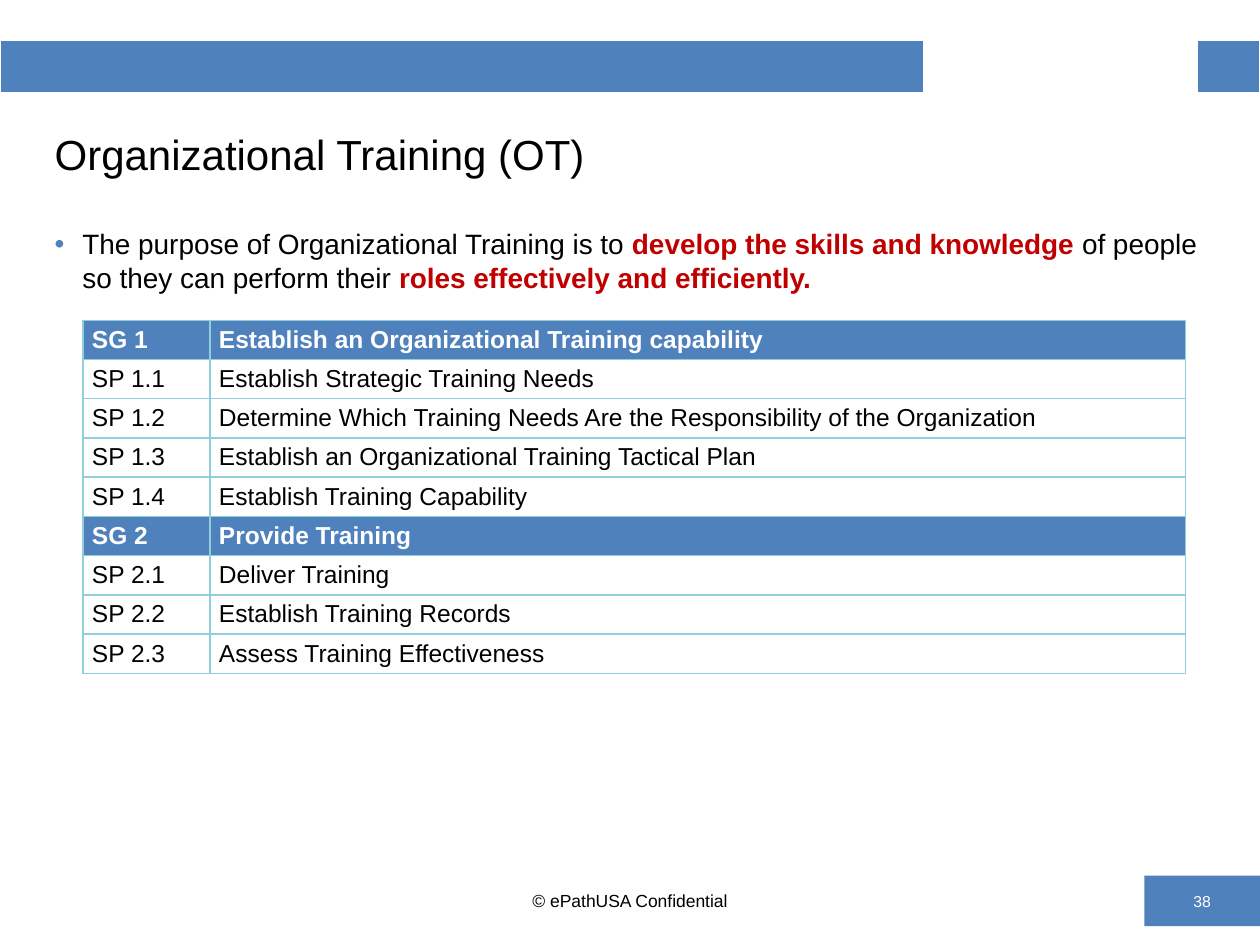
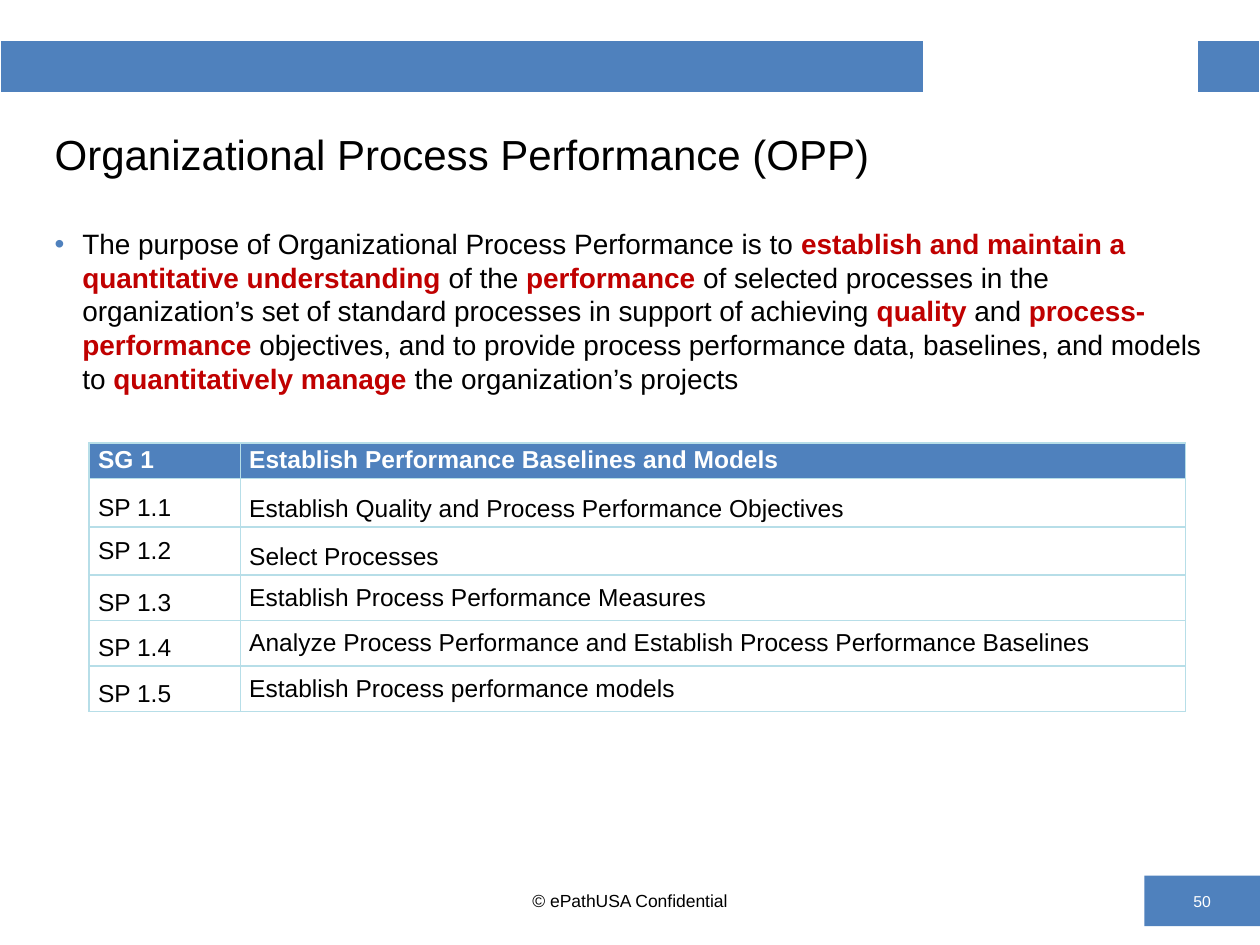
from collections import namedtuple

from lxml.etree import SubElement
from pptx import Presentation
from pptx.dml.color import RGBColor
from pptx.enum.shapes import MSO_SHAPE
from pptx.enum.text import MSO_ANCHOR, MSO_AUTO_SIZE, PP_ALIGN
from pptx.oxml import parse_xml
from pptx.oxml.ns import nsdecls, qn
from pptx.util import Inches, Pt

FONT = "Arial"
BLUE, RED, WHITE, BLACK = "4F81BD", "C00000", "FFFFFF", "000000"

# The slide is a grid of 120 columns by 90 rows
COLUMNS, ROWS = 120, 90
SLIDE_WIDTH, SLIDE_HEIGHT = Inches(10), Inches(7.5)

Box = namedtuple("Box", "left top width height")
BAND_BOX = Box(0, 3.84, 120, 5.16)
TITLE_BOX = Box(4, 10.2, 112, 8.8)
BODY_BOX = Box(4, 21, 112, 61)
FOOTER_BOX = Box(41, 83.4, 38, 4.8)
NUMBER_BOX = Box(109, 83.4, 11, 4.8)


def across(columns):
    return int(SLIDE_WIDTH * columns / COLUMNS)


def down(rows):
    return int(SLIDE_HEIGHT * rows / ROWS)


def area(box):
    return across(box.left), down(box.top), across(box.width), down(box.height)


def color(value):
    return RGBColor.from_string(value)


def add_span(para, text, size, tint=BLACK, bold=False):
    span = para.add_run()
    span.text = text
    span.font.name = FONT
    span.font.size = Pt(size)
    span.font.bold = bold
    span.font.color.rgb = color(tint)


def place(shape, box):
    shape.left, shape.top, shape.width, shape.height = area(box)


def frame_text(shape, anchor):
    frame = shape.text_frame
    frame.word_wrap = True
    frame.auto_size = MSO_AUTO_SIZE.NONE
    frame.vertical_anchor = anchor
    return frame.paragraphs[0]


def paint(fill, tint):
    if tint:
        fill.solid()
        fill.fore_color.rgb = color(tint)
    else:
        fill.background()


def set_borders(cell, tint, bottom=1):
    properties = cell._tc.get_or_add_tcPr()
    widths = {"lnL": 1, "lnR": 1, "lnT": 1, "lnB": bottom}
    for position, (side, width) in enumerate(widths.items()):
        properties.insert(position, parse_xml(
            f'<a:{side} {nsdecls("a")} w="{Pt(width)}"><a:solidFill>'
            f'<a:srgbClr val="{tint}"/></a:solidFill></a:{side}>'))


def add_grid(page, box, widths, heights):
    table = page.shapes.add_table(len(heights), len(widths), *area(box)).table
    table.first_row = table.horz_banding = False
    for column, width in zip(table.columns, widths):
        column.width = across(width)
    for row, height in zip(table.rows, heights):
        row.height = down(height)
    return table


# Top band: two blue cells with a gap between them
def add_band(page, box):
    table = add_grid(page, box, (88, 26, 6), (box.height,))
    for cell, tint in zip(table.iter_cells(), (BLUE, None, BLUE)):
        paint(cell.fill, tint)
        set_borders(cell, WHITE, bottom=3)


def add_title(page, box, text):
    place(page.shapes.title, box)
    para = frame_text(page.shapes.title, MSO_ANCHOR.MIDDLE)
    para.alignment = PP_ALIGN.LEFT
    add_span(para, text, 24)


# Purpose statement: every second span is emphasised
def add_purpose(page, box, spans):
    body = page.placeholders[1]
    place(body, box)
    para = frame_text(body, MSO_ANCHOR.TOP)
    properties = para._p.get_or_add_pPr()
    indent = Inches(0.22)
    properties.set("marL", str(indent))
    properties.set("indent", str(-indent))
    SubElement(SubElement(properties, qn("a:buClr")), qn("a:srgbClr"), val=BLUE)
    SubElement(properties, qn("a:buFont"), typeface=FONT)
    SubElement(properties, qn("a:buChar"), char="•")
    para.space_before = Pt(0)
    for index, text in enumerate(spans):
        strong = index % 2 == 1
        add_span(para, text, 16, RED if strong else BLACK, strong)


# Goals (SG) are blue header rows, practices (SP) are plain rows
def add_goals(page, box, widths, heights, rows, spacings, border, anchor):
    table = add_grid(page, box, widths, heights)
    for row, texts, spacing in zip(table.rows, rows, spacings):
        is_goal = texts[0].startswith("SG")
        for cell, text, line_spacing in zip(row.cells, texts, spacing):
            cell.margin_left = cell.margin_right = Inches(0.07)
            cell.margin_top = cell.margin_bottom = Inches(0.03)
            cell.vertical_anchor = anchor
            paint(cell.fill, BLUE if is_goal else None)
            set_borders(cell, border)
            para = cell.text_frame.paragraphs[0]
            para.line_spacing = line_spacing
            add_span(para, text, 14, WHITE if is_goal else BLACK, is_goal)


def add_footer(page, box):
    note = page.shapes.add_textbox(*area(box))
    para = frame_text(note, MSO_ANCHOR.MIDDLE)
    para.alignment = PP_ALIGN.CENTER
    add_span(para, "© ePathUSA Confidential", 10)


def add_page_number(page, box, number):
    tab = page.shapes.add_shape(MSO_SHAPE.RECTANGLE, *area(box))
    tab.shadow.inherit = False
    paint(tab.fill, BLUE)
    tab.line.fill.background()
    para = frame_text(tab, MSO_ANCHOR.MIDDLE)
    para.alignment = PP_ALIGN.CENTER
    add_span(para, str(number), 9, WHITE)


def add_process_page(deck, number, title, purpose, goals):
    page = deck.slides.add_slide(deck.slide_layouts[1])
    add_band(page, BAND_BOX)
    add_page_number(page, NUMBER_BOX, number)
    add_title(page, TITLE_BOX, title)
    add_purpose(page, BODY_BOX, purpose)
    add_goals(page, **goals)
    add_footer(page, FOOTER_BOX)


TRAINING_ROWS = [
    ("SG 1", "Establish an Organizational Training capability"),
    ("SP 1.1", "Establish Strategic Training Needs"),
    ("SP 1.2", "Determine Which Training Needs Are the Responsibility of the Organization"),
    ("SP 1.3", "Establish an Organizational Training Tactical Plan"),
    ("SP 1.4", "Establish Training Capability"),
    ("SG 2", "Provide Training"),
    ("SP 2.1", "Deliver Training"),
    ("SP 2.2", "Establish Training Records"),
    ("SP 2.3", "Assess Training Effectiveness"),
]
TRAINING_PURPOSE = [
    "The purpose of Organizational Training is to ",
    "develop the skills and knowledge ",
    "of people so they can perform their ",
    "roles effectively and efficiently.",
]
PERFORMANCE_ROWS = [
    ("SG 1", "Establish Performance Baselines and Models"),
    ("SP 1.1", "Establish Quality and Process Performance Objectives"),
    ("SP 1.2", "Select Processes"),
    ("SP 1.3", "Establish Process Performance Measures"),
    ("SP 1.4", "Analyze Process Performance and Establish Process Performance Baselines"),
    ("SP 1.5", "Establish Process performance models"),
]
PERFORMANCE_PURPOSE = [
    "The purpose of Organizational Process Performance is to ",
    "establish and maintain a quantitative understanding ",
    "of the ",
    "performance",
    " of selected processes in the organization’s set of standard processes "
    "in support of achieving ",
    "quality",
    " and ",
    "process-performance ",
    "objectives, and to provide process performance data, baselines, and models to ",
    "quantitatively manage ",
    "the organization’s projects",
]


def main():
    deck = Presentation()
    deck.slide_width, deck.slide_height = SLIDE_WIDTH, SLIDE_HEIGHT
    add_process_page(
        deck, 38, "Organizational Training (OT)", TRAINING_PURPOSE,
        dict(box=Box(7.92, 30.5, 105, 33.7), widths=(12.1, 92.9),
             heights=[3.74] * len(TRAINING_ROWS), rows=TRAINING_ROWS,
             spacings=[(1.07, 1.07)] * len(TRAINING_ROWS),
             border="92CDDC", anchor=MSO_ANCHOR.TOP))
    add_process_page(
        deck, 50, "Organizational Process Performance (OPP)", PERFORMANCE_PURPOSE,
        dict(box=Box(8.5, 42.2, 104.4, 25.6), widths=(14.4, 90),
             heights=[3.4] + [4.58] * 2 + [4.34] * 3, rows=PERFORMANCE_ROWS,
             spacings=[(0.95, 0.95), (1.35, 1.45), (1.0, 1.45)] + [(1.35, 1.0)] * 3,
             border="B7DEE8", anchor=MSO_ANCHOR.MIDDLE))
    deck.save("out.pptx")


if __name__ == "__main__":
    main()
